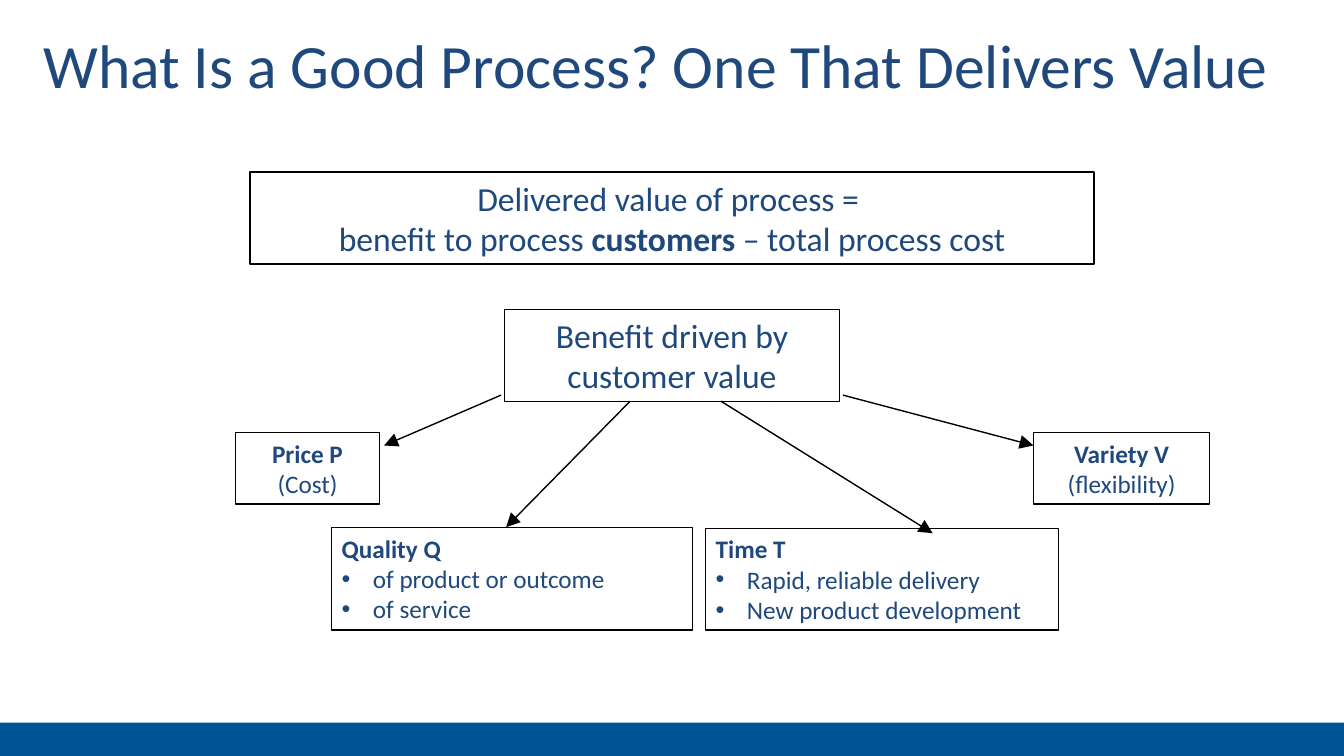
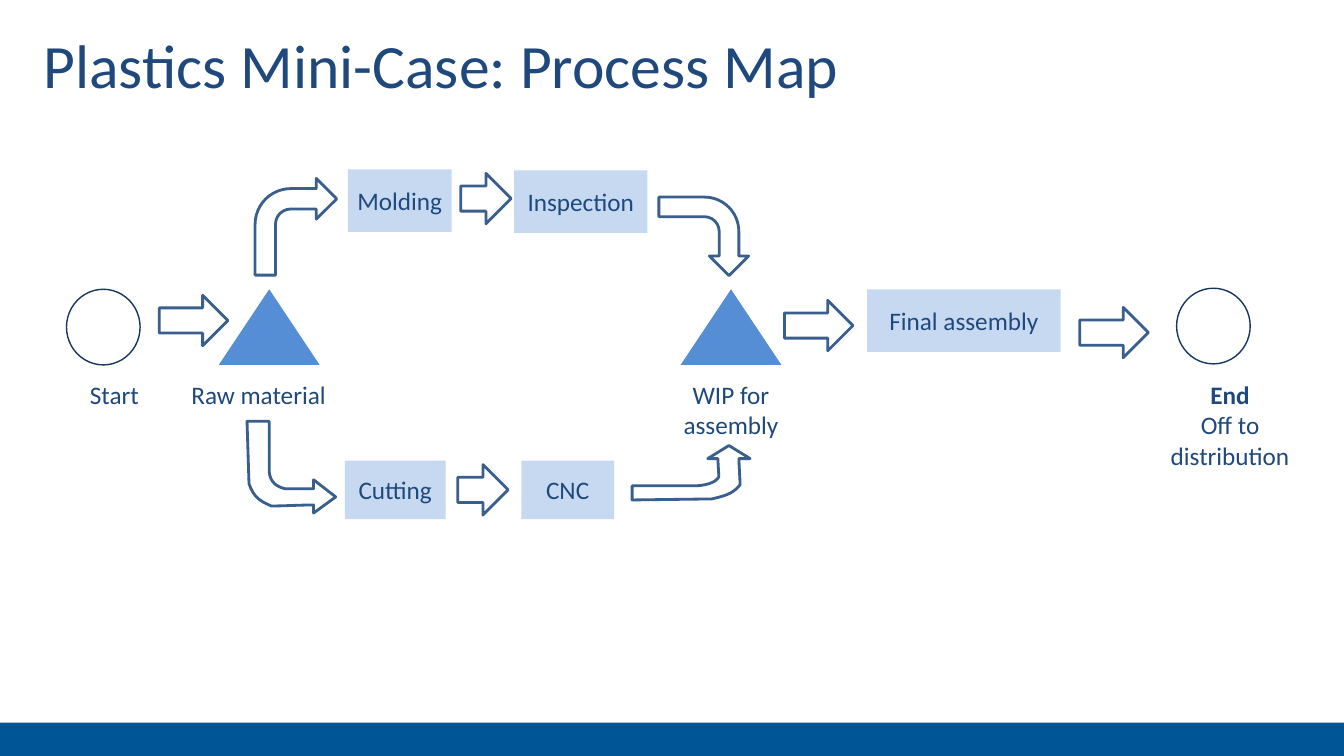
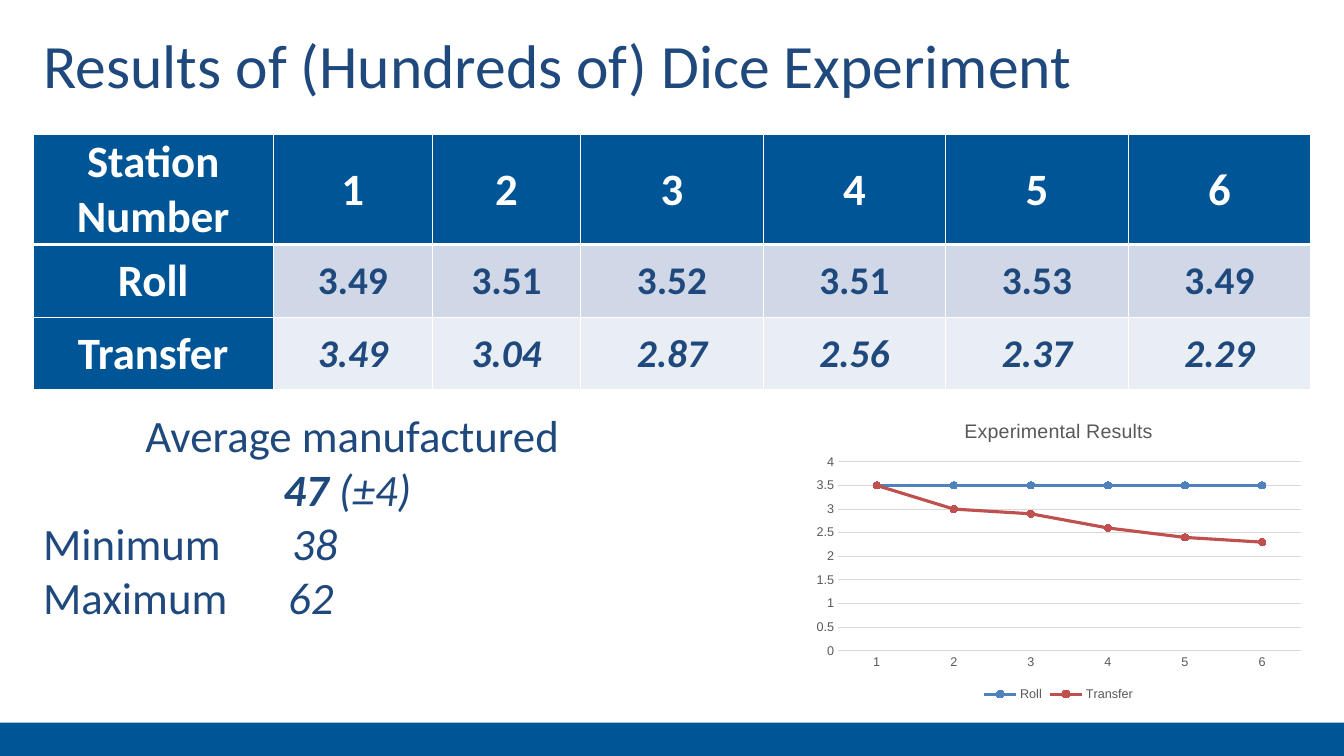
from dataclasses import dataclass
from typing import Any, NamedTuple

from lxml import etree
from pptx import Presentation
from pptx.chart.data import CategoryChartData
from pptx.dml.color import RGBColor
from pptx.enum.chart import XL_CHART_TYPE, XL_LEGEND_POSITION, XL_MARKER_STYLE, XL_TICK_MARK
from pptx.enum.shapes import MSO_CONNECTOR, MSO_SHAPE
from pptx.enum.text import MSO_ANCHOR, PP_ALIGN
from pptx.oxml.ns import qn
from pptx.util import Inches, Pt

NAVY = RGBColor(0x1F, 0x49, 0x7D)
BAND_BLUE = RGBColor(0x00, 0x55, 0x96)
WHITE = RGBColor(0xFF, 0xFF, 0xFF)
BLACK = RGBColor(0x00, 0x00, 0x00)
STOCK_BLUE = RGBColor(0x55, 0x8E, 0xD5)
STEP_BLUE = RGBColor(0xC6, 0xD9, 0xF1)
CIRCLE_LINE = RGBColor(0x17, 0x37, 0x5E)
ARROW_LINE = RGBColor(0x3A, 0x5F, 0x8C)
ROLL_ROW = RGBColor(0xD0, 0xD8, 0xE8)
TRANSFER_ROW = RGBColor(0xE9, 0xED, 0xF4)
CHART_TEXT = RGBColor(0x59, 0x59, 0x59)
GRID_GRAY = RGBColor(0xD9, 0xD9, 0xD9)
ROLL_BLUE = RGBColor(0x4F, 0x81, 0xBD)
TRANSFER_RED = RGBColor(0xC0, 0x50, 0x4D)

PROCESS = MSO_SHAPE.FLOWCHART_PROCESS
MERGE = MSO_SHAPE.FLOWCHART_MERGE
RECTANGLE = MSO_SHAPE.RECTANGLE
OVAL = MSO_SHAPE.OVAL
RIGHT_ARROW = MSO_SHAPE.RIGHT_ARROW
BENT_ARROW = MSO_SHAPE.BENT_ARROW
STRAIGHT = MSO_CONNECTOR.STRAIGHT
LEFT, CENTER = PP_ALIGN.LEFT, PP_ALIGN.CENTER
TOP, MIDDLE = MSO_ANCHOR.TOP, MSO_ANCHOR.MIDDLE
NO_TICK = XL_TICK_MARK.NONE
LINE_CHART = XL_CHART_TYPE.LINE_MARKERS
LEGEND_BOTTOM = XL_LEGEND_POSITION.BOTTOM
ROUND_MARKER = XL_MARKER_STYLE.CIRCLE

FONT = "Calibri"
TITLE_AT = (0.33, 0.17, 12.67, 0.92)
BAND_AT = (0, 7.17, 13.33, 0.33)
BULLET_INDENT = Inches(0.31)
CURVE_STEPS = 8

Rect = tuple[float, float, float, float]
Point = tuple[float, float]


class Span(NamedTuple):
    text: str
    bold: bool = False
    italic: bool = False


@dataclass
class Para:
    spans: list[Span]
    align: Any = CENTER
    bullet: bool = False
    tab: float = 0


@dataclass
class Box:
    """A preset shape; without a shape kind it is a text box."""
    at: Rect
    paras: tuple[Para, ...] = ()
    kind: Any = None
    size: float = 18
    fill: RGBColor | None = None
    line: RGBColor | None = None
    weight: float = 1
    rotation: float = 0
    wrap: bool = True
    anchor: Any = MIDDLE


class Curve(NamedTuple):
    """A cubic Bezier segment from the current point."""
    first: Point
    second: Point
    end: Point


def apply(target: Any, **values: Any) -> None:
    for name, value in values.items():
        setattr(target, name, value)


def inches(values: Any) -> list[int]:
    return [Inches(value) for value in values]


def format_font(font: Any, size: float, color: RGBColor, name: str = FONT, **values: Any) -> None:
    apply(font, size=Pt(size), name=name, **values)
    font.color.rgb = color


def format_line(line: Any, color: RGBColor | None, weight: float) -> None:
    if color is None:
        line.fill.background()
    else:
        line.color.rgb = color
        line.width = Pt(weight)


def format_fill(fill: Any, color: RGBColor | None) -> None:
    if color is None:
        fill.background()
    else:
        fill.solid()
        fill.fore_color.rgb = color


def write_paras(frame: Any, paras: tuple[Para, ...], size: float, color: RGBColor = NAVY) -> None:
    for index, item in enumerate(paras):
        para = frame.add_paragraph() if index else frame.paragraphs[0]
        para.alignment = item.align
        for span in item.spans:
            run = para.add_run()
            run.text = span.text
            format_font(run.font, size, color, bold=span.bold, italic=span.italic)
        properties = para._p.get_or_add_pPr()
        if item.bullet:
            properties.set("marL", str(BULLET_INDENT))
            properties.set("indent", str(-BULLET_INDENT))
            etree.SubElement(properties, qn("a:buFont"), typeface="Arial")
            etree.SubElement(properties, qn("a:buChar"), char="•")
        if item.tab:
            stops = etree.SubElement(properties, qn("a:tabLst"))
            etree.SubElement(stops, qn("a:tab"), pos=str(Inches(item.tab)), algn="l")


def draw_box(page: Any, box: Box) -> Any:
    place = inches(box.at)
    if box.kind is None:
        shape = page.shapes.add_textbox(*place)
    else:
        shape = page.shapes.add_shape(box.kind, *place)
        shape.shadow.inherit = False
        format_fill(shape.fill, box.fill)
        format_line(shape.line, box.line, box.weight)
    shape.rotation = box.rotation
    apply(shape.text_frame, word_wrap=box.wrap, vertical_anchor=box.anchor)
    write_paras(shape.text_frame, box.paras, box.size)
    return shape


def draw_arrow(page: Any, start: Point, end: Point) -> None:
    arrow = page.shapes.add_connector(STRAIGHT, *inches(start + end))
    format_line(arrow.line, BLACK, 1)
    properties = arrow.element.spPr
    etree.SubElement(properties.find(qn("a:ln")), qn("a:tailEnd"),
                     type="triangle", w="lg", len="lg")
    etree.SubElement(properties, qn("a:effectLst"))


def curve_points(start: Point, curve: Curve) -> list[Point]:
    points = []
    corners = (start, *curve)
    for step in range(1, CURVE_STEPS + 1):
        t = step / CURVE_STEPS
        weights = ((1 - t) ** 3, 3 * t * (1 - t) ** 2, 3 * t * t * (1 - t), t ** 3)
        points.append((sum(w * c[0] for w, c in zip(weights, corners)),
                       sum(w * c[1] for w, c in zip(weights, corners))))
    return points


def draw_outline(page: Any, segments: list[Point | Curve]) -> None:
    points = [segments[0]]
    for segment in segments[1:]:
        points += curve_points(points[-1], segment) if isinstance(segment, Curve) else [segment]
    builder = page.shapes.build_freeform(*inches(points[0]))
    builder.add_line_segments([tuple(inches(point)) for point in points[1:]], close=True)
    shape = builder.convert_to_shape()
    shape.shadow.inherit = False
    shape.fill.background()
    format_line(shape.line, ARROW_LINE, 2)


def add_page(deck: Any, title: str) -> Any:
    page = deck.slides.add_slide(deck.slide_layouts[5])
    holder = page.shapes.title
    apply(holder, **dict(zip(("left", "top", "width", "height"), inches(TITLE_AT))))
    apply(holder.text_frame, word_wrap=True, vertical_anchor=MIDDLE)
    write_paras(holder.text_frame, (Para([Span(title)], LEFT),), 44)
    return page


def add_band(deck: Any, page: Any) -> None:
    """Draw the footer band and move it to the layout all pages share."""
    band = draw_box(page, Box(BAND_AT, kind=RECTANGLE, fill=BAND_BLUE))
    deck.slide_layouts[5].shapes.element.insert(2, band.element)


def plain(*lines: str) -> tuple[Para, ...]:
    return tuple(Para([Span(line)]) for line in lines)


def bullet_list(heading: str, *items: str) -> tuple[Para, ...]:
    return (Para([Span(heading, True)], LEFT),
            *(Para([Span(item)], LEFT, bullet=True) for item in items))


def draw_value_page(page: Any) -> None:
    formula = (*plain("Delivered value of process = "),
               Para([Span("benefit to process "), Span("customers", True),
                     Span(" – total process cost")]))
    price = (Para([Span("Price P", True), Span(" (Cost)")]),)
    variety = (Para([Span("Variety V", True)]), *plain("(flexibility)"))
    quality = bullet_list("Quality Q", "of product or outcome", "of service")
    time = bullet_list("Time T", "Rapid, reliable delivery", "New product development")
    for at, paras, size, weight in (
        ((2.48, 1.71, 8.37, 0.91), formula, 24, 1.25),
        ((5, 3.07, 3.33, 0.91), plain("Benefit driven by customer value"), 24, 0.75),
        ((2.34, 4.29, 1.42, 0.71), price, 18, 0.75),
        ((10.25, 4.29, 1.75, 0.71), variety, 18, 0.75),
        ((3.29, 5.23, 3.58, 1.02), quality, 18, 0.75),
        ((7, 5.24, 3.5, 1.01), time, 18, 0.75),
    ):
        draw_box(page, Box(at, paras, PROCESS, size, line=BLACK, weight=weight))
    for start, end in (
        ((4.97, 3.92), (3.81, 4.42)),
        ((6.25, 3.98), (5.02, 5.23)),
        ((7.15, 3.98), (9.25, 5.29)),
        ((8.36, 3.92), (10.25, 4.42)),
    ):
        draw_arrow(page, start, end)


def draw_map_page(page: Any) -> None:
    for left in (2.17, 6.75):
        draw_box(page, Box((left, 2.87, 1, 0.75), kind=MERGE, fill=STOCK_BLUE, rotation=180))
    for left, top in ((0.66, 2.87), (11.67, 2.86)):
        draw_box(page, Box((left, top, 0.73, 0.75), kind=OVAL, fill=WHITE, line=CIRCLE_LINE))
    for text, at in (
        ("Molding", (3.45, 1.68, 1.03, 0.62)),
        ("Inspection", (5.1, 1.69, 1.32, 0.62)),
        ("Cutting", (3.42, 4.57, 1, 0.58)),
        ("CNC", (5.17, 4.57, 0.92, 0.58)),
        ("Final assembly", (8.6, 2.87, 1.92, 0.62)),
    ):
        draw_box(page, Box(at, plain(text), RECTANGLE, fill=STEP_BLUE, wrap=False))
    for paras, left, width, height in (
        (plain("Start"), 0.66, 0.95, 0.4),
        (plain("Raw material"), 1.65, 1.83, 0.4),
        (plain("WIP for assembly"), 6.5, 1.5, 0.71),
        ((Para([Span("End", True)]), *plain("Off to distribution")), 11.48, 1.44, 1.01),
    ):
        draw_box(page, Box((left, 3.71, width, height), paras))
    for kind, at, rotation in (
        (RIGHT_ARROW, (1.58, 2.93, 0.68, 0.5), 0),
        (RIGHT_ARROW, (7.78, 2.98, 0.68, 0.5), 0),
        (RIGHT_ARROW, (10.71, 3.05, 0.68, 0.5), 0),
        (RIGHT_ARROW, (4.57, 1.72, 0.5, 0.5), 0),
        (RIGHT_ARROW, (4.54, 4.61, 0.5, 0.5), 0),
        (BENT_ARROW, (2.53, 1.77, 0.81, 0.96), 0),
        (BENT_ARROW, (6.59, 1.9, 0.78, 0.89), 90),
    ):
        draw_box(page, Box(at, kind=kind, line=ARROW_LINE, weight=2, rotation=rotation))
    cnc_to_wip = [
        (6.27, 4.82), (6.91, 4.82), Curve((7.05, 4.81), (7.11, 4.77), (7.13, 4.73)),
        (7.12, 4.55), (7.02, 4.55), (7.23, 4.42), (7.44, 4.55), (7.33, 4.55),
        Curve((7.33, 4.63), (7.34, 4.74), (7.34, 4.81)),
        Curve((7.28, 4.88), (7.24, 4.91), (7.06, 4.95)), (6.27, 4.96),
    ]
    material_to_cutting = [
        (2.67, 4.18), (2.67, 4.68), Curve((2.68, 4.79), (2.75, 4.83), (2.83, 4.85)),
        (3.11, 4.85), (3.11, 4.76), (3.33, 4.93), (3.11, 5.09), (3.11, 5.01),
        Curve((2.99, 5.01), (2.81, 5.02), (2.69, 5.02)),
        Curve((2.58, 4.97), (2.52, 4.94), (2.47, 4.8)), (2.45, 4.18),
    ]
    for outline in (cnc_to_wip, material_to_cutting):
        draw_outline(page, outline)


STATIONS = ["1", "2", "3", "4", "5", "6"]
ROLLS = [3.49, 3.51, 3.52, 3.51, 3.53, 3.49]
TRANSFERS = [3.49, 3.04, 2.87, 2.56, 2.37, 2.29]


def format_borders(cell: Any, **weights: float) -> None:
    """Give the cell white borders, 1 point wide unless weights names a side (L, R, T, B)."""
    properties = cell._tc.get_or_add_tcPr()
    for index, side in enumerate("LRTB"):
        border = etree.Element(qn(f"a:ln{side}"), w=str(Pt(weights.get(side, 1))))
        fill = etree.SubElement(border, qn("a:solidFill"))
        etree.SubElement(fill, qn("a:srgbClr"), val=str(WHITE))
        properties.insert(index, border)


def draw_table(page: Any) -> None:
    rows = [["Station Number", *STATIONS],
            ["Roll", *(f"{value:.2f}" for value in ROLLS)],
            ["Transfer", *(f"{value:.2f}" for value in TRANSFERS)]]
    fills = (BAND_BLUE, ROLL_ROW, TRANSFER_ROW)
    table = page.shapes.add_table(3, 7, *inches((0.33, 1.33, 12.67, 2.52))).table
    for column, width in zip(table.columns, [2.38, 1.58, 1.47] + [1.81] * 4):
        column.width = Inches(width)
    for row, height in zip(table.rows, (1.08, 0.72, 0.72)):
        row.height = Inches(height)
    for r, texts in enumerate(rows):
        for c, text in enumerate(texts):
            cell = table.cell(r, c)
            heading = r == 0 or c == 0
            apply(cell, vertical_anchor=MIDDLE, margin_left=Inches(0.01),
                  margin_right=Inches(0.01), margin_top=Inches(0.01), margin_bottom=0)
            format_fill(cell.fill, BAND_BLUE if heading else fills[r])
            span = Span(text, True, r == 2 and not heading)
            write_paras(cell.text_frame, (Para([span]),),
                        32 if heading else 28, WHITE if heading else NAVY)
            format_borders(cell, **{0: {"B": 3}, 1: {"T": 3}}.get(r, {}))


def draw_chart(page: Any) -> None:
    data = CategoryChartData()
    data.categories = STATIONS
    for name, values in (("Roll", ROLLS), ("Transfer", TRANSFERS)):
        data.add_series(name, [round(value, 1) for value in values])
    chart = page.shapes.add_chart(LINE_CHART, *inches((8, 4, 5, 3)), data).chart
    format_font(chart.font, 9, CHART_TEXT, "Arial")
    apply(chart, has_title=True, has_legend=True)
    apply(chart.legend, position=LEGEND_BOTTOM, include_in_layout=False)
    title = chart.chart_title.text_frame
    title.text = "Experimental Results"
    format_font(title.paragraphs[0].runs[0].font, 14, CHART_TEXT, "Arial", bold=False)
    ticks = {"major_tick_mark": NO_TICK, "minor_tick_mark": NO_TICK}
    apply(chart.category_axis, **ticks)
    apply(chart.value_axis, minimum_scale=0, maximum_scale=4, major_unit=0.5, **ticks)
    apply(chart.value_axis.tick_labels, number_format="General", number_format_is_linked=False)
    format_line(chart.category_axis.format.line, GRID_GRAY, 0.75)
    format_line(chart.value_axis.format.line, None, 0)
    format_line(chart.value_axis.major_gridlines.format.line, GRID_GRAY, 0.75)
    plot = chart.plots[0]
    plot.vary_by_categories = False
    for series, color in zip(plot.series, (ROLL_BLUE, TRANSFER_RED)):
        series.smooth = False
        format_line(series.format.line, color, 2.25)
        apply(series.marker, style=ROUND_MARKER, size=5)
        format_fill(series.marker.format.fill, color)
        format_line(series.marker.format.line, color, 0.75)


def draw_results_page(page: Any) -> None:
    draw_table(page)
    summary = (
        *plain("Average manufactured"),
        Para([Span("47", True, True), Span(" (±4) ", italic=True)]),
        *(Para([Span(f"{label}\t"), Span(count, italic=True)], LEFT, tab=tab)
          for label, count, tab in (("Minimum", "38", 2.47), ("Maximum", "62", 2.43))),
    )
    draw_box(page, Box((0.33, 4, 6.33, 3), summary, size=32, anchor=TOP))
    draw_chart(page)


def main() -> None:
    deck = Presentation()
    apply(deck, slide_width=Inches(13.33), slide_height=Inches(7.5))
    for title, draw in (
        ("What Is a Good Process? One That Delivers Value", draw_value_page),
        ("Plastics Mini-Case: Process Map", draw_map_page),
        ("Results of (Hundreds of) Dice Experiment", draw_results_page),
    ):
        draw(add_page(deck, title))
    add_band(deck, deck.slides[0])
    deck.save("out.pptx")


if __name__ == "__main__":
    main()
